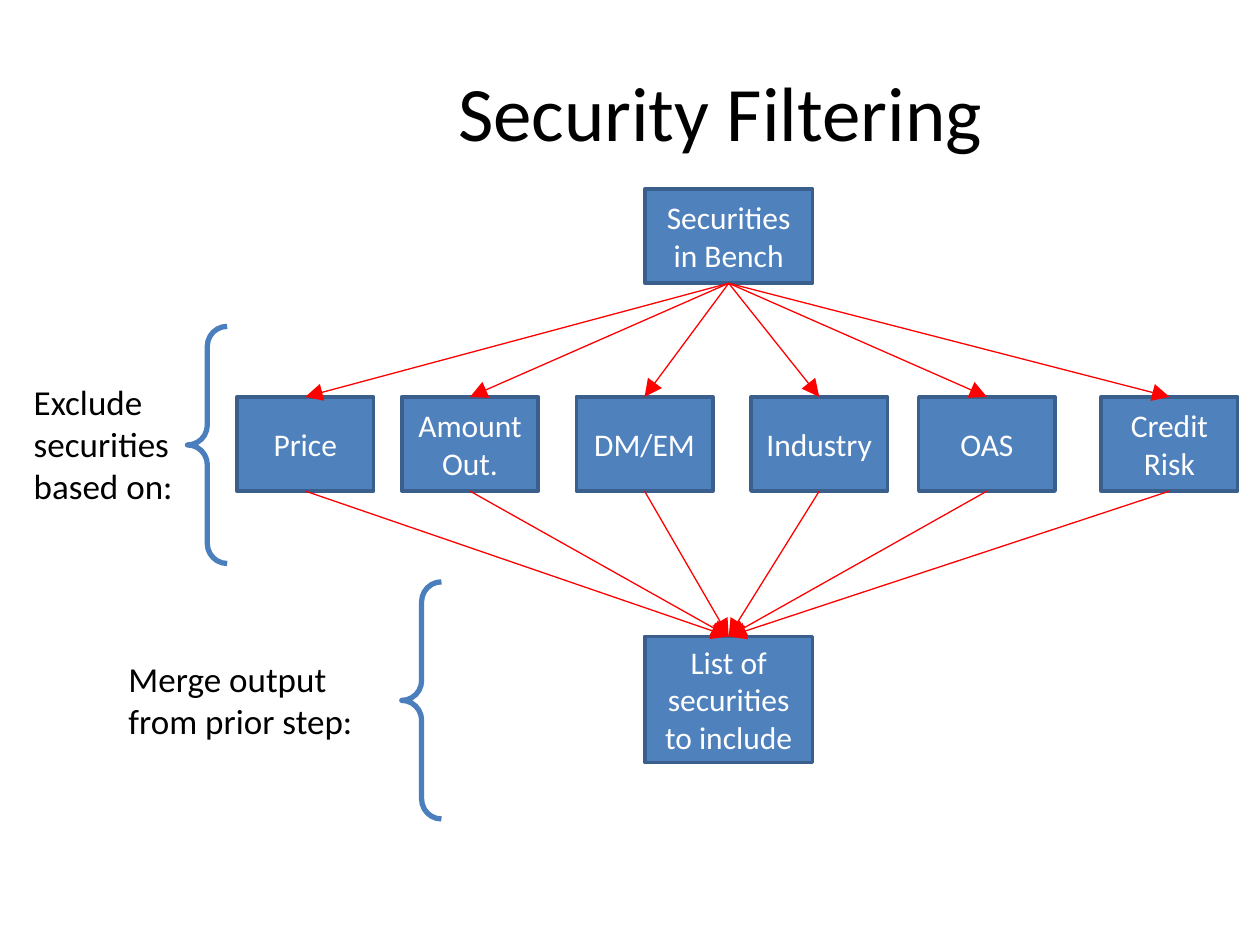
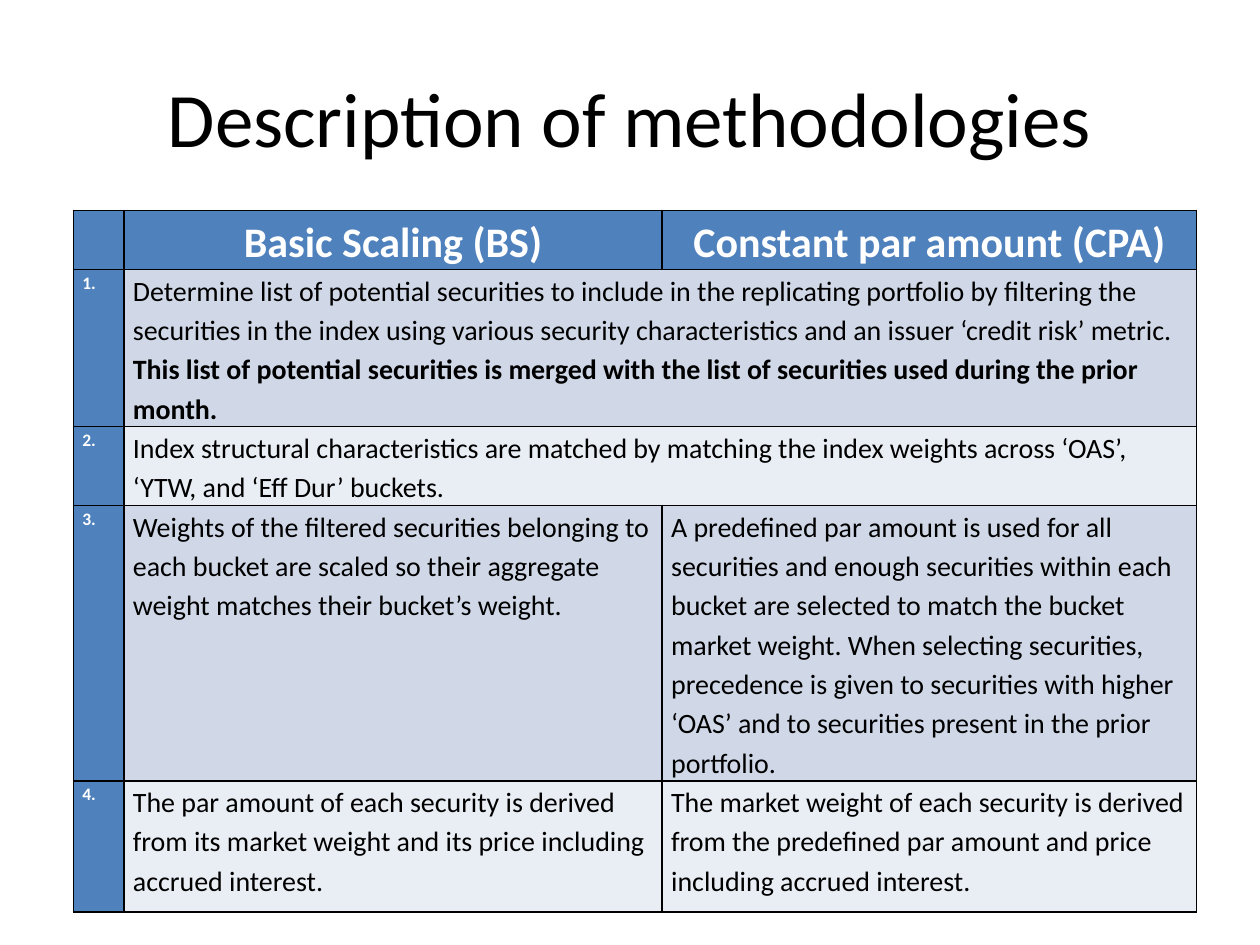
from dataclasses import dataclass

import pptx
import pptx.dml.color
import pptx.enum.shapes
import pptx.enum.text
import pptx.oxml
import pptx.oxml.ns
import pptx.util

Cm = pptx.util.Cm
Pt = pptx.util.Pt
SHAPE = pptx.enum.shapes.MSO_SHAPE
ALIGN = pptx.enum.text.PP_ALIGN
ANCHOR = pptx.enum.text.MSO_ANCHOR
BOTTOM_SITE, TOP_SITE = 2, 0


@dataclass(frozen=True)
class Theme:
    font: str = "Calibri"
    black: str = "000000"
    white: str = "FFFFFF"
    blue: str = "4F81BD"
    box_edge: str = "3A5F8C"
    brace: str = "4B7EBC"
    arrow: str = "FF0000"
    bands: tuple = ("D0D8E8", "E9EDF4")
    title_size: float = 44
    header_size: float = 24
    label_size: float = 20
    box_size: float = 18
    body_size: float = 16
    number_size: float = 10


THEME = Theme()

FILTERS = [
    ("Price", 4.78),
    ("Amount Out.", 8.1),
    ("DM/EM", 11.62),
    ("Industry", 15.14),
    ("OAS", 18.52),
    ("Credit Risk", 22.2),
]

HEADERS = ["Basic Scaling (BS)", "Constant par amount (CPA)"]
STEPS = [
    [[("Determine list of potential securities to include in the replicating "
       "portfolio by filtering the securities in the index using various "
       "security characteristics and an issuer ‘credit risk’ metric. ", False),
      ("This list of potential securities is merged with the list of "
       "securities used during the prior month.", True)]],
    [[("Index structural characteristics are matched by matching the index "
       "weights across ‘OAS’, ‘YTW, and ‘Eff Dur’ buckets.", False)]],
    [[("Weights of the filtered securities belonging to each bucket are scaled "
       "so their aggregate weight matches their bucket’s weight.", False)],
     [("A predefined par amount is used for all securities and enough "
       "securities within each bucket are selected to match the bucket market "
       "weight. When selecting securities, precedence is given to securities "
       "with higher ‘OAS’ and to securities present in the prior portfolio.",
       False)]],
    [[("The par amount of each security is derived from its market weight and "
       "its price including accrued interest.", False)],
     [("The market weight of each security is derived from the predefined par "
       "amount and price including accrued interest.", False)]],
]
COLUMN_WIDTHS = [1.02, 10.85, 10.77]
ROW_HEIGHTS = [0.84, 2.64, 1.3, 4.65, 2.64]


def rgb(value):
    return pptx.dml.color.RGBColor.from_string(value)


def write(tf, text, size, color=THEME.black, bold=False, align=ALIGN.LEFT,
          anchor=ANCHOR.TOP, spacing=None, after=None):
    runs = [(text, bold)] if isinstance(text, str) else text
    tf.word_wrap = True
    tf.vertical_anchor = anchor
    p = tf.paragraphs[0]
    p.alignment = align
    p.line_spacing = spacing
    p.space_after = None if after is None else Pt(after)
    for run_text, run_bold in runs:
        r = p.add_run()
        r.text = run_text
        r.font.name = THEME.font
        r.font.size = Pt(size)
        r.font.bold = run_bold
        r.font.color.rgb = rgb(color)


def add_titled_slide(prs, text, left, top, width):
    slide = prs.slides.add_slide(prs.slide_layouts[5])
    sp = slide.shapes.title
    sp.left, sp.top, sp.width, sp.height = Cm(left), Cm(top), Cm(width), Cm(3.18)
    write(sp.text_frame, text, THEME.title_size, align=ALIGN.CENTER,
          anchor=ANCHOR.MIDDLE)
    return slide


def add_box(slide, text, left, top, width, height):
    sp = slide.shapes.add_shape(SHAPE.RECTANGLE, Cm(left), Cm(top),
                                Cm(width), Cm(height))
    sp.shadow.inherit = False
    sp.fill.solid()
    sp.fill.fore_color.rgb = rgb(THEME.blue)
    sp.line.color.rgb = rgb(THEME.box_edge)
    sp.line.width = Pt(2)
    write(sp.text_frame, text, THEME.box_size, THEME.white,
          align=ALIGN.CENTER, anchor=ANCHOR.MIDDLE)
    return sp


def add_arrow(slide, source, target):
    line = slide.shapes.add_connector(
        pptx.enum.shapes.MSO_CONNECTOR.STRAIGHT,
        source.left + source.width // 2, source.top + source.height,
        target.left + target.width // 2, target.top)
    line.begin_connect(source, BOTTOM_SITE)
    line.end_connect(target, TOP_SITE)
    line.line.color.rgb = rgb(THEME.arrow)
    line.line.width = Pt(0.75)
    ns = pptx.oxml.ns.nsdecls("a")
    line.line._get_or_add_ln().append(pptx.oxml.parse_xml(
        f'<a:tailEnd {ns} type="triangle" w="lg" len="lg"/>'))
    line._element.spPr.append(pptx.oxml.parse_xml(f"<a:effectLst {ns}/>"))


def add_brace(slide, left, top):
    sp = slide.shapes.add_shape(SHAPE.LEFT_BRACE, Cm(left), Cm(top),
                                Cm(0.8), Cm(4.78))
    sp.adjustments[0] = 0.5
    sp.shadow.inherit = False
    sp.fill.background()
    sp.line.color.rgb = rgb(THEME.brace)
    sp.line.width = Pt(3)


def add_label(slide, text, left, top, width, height):
    sp = slide.shapes.add_textbox(Cm(left), Cm(top), Cm(width), Cm(height))
    write(sp.text_frame, text, THEME.label_size)


def style_cell(cell, fill):
    tcPr = cell._tc.get_or_add_tcPr()
    for side in ("lnL", "lnR", "lnT", "lnB"):
        tcPr.append(pptx.oxml.parse_xml(
            f'<a:{side} {pptx.oxml.ns.nsdecls("a")} w="{Pt(1)}"><a:solidFill>'
            f'<a:srgbClr val="{THEME.black}"/></a:solidFill></a:{side}>'))
    cell.fill.solid()
    cell.fill.fore_color.rgb = rgb(fill)
    cell.margin_left = cell.margin_right = Cm(0.18)
    cell.margin_top = cell.margin_bottom = 0


def write_cell(cell, text, size, **style):
    write(cell.text_frame, text, size, spacing=1.15, after=10, **style)


def add_steps_table(slide):
    table = slide.shapes.add_table(
        len(ROW_HEIGHTS), len(COLUMN_WIDTHS), Cm(1.48), Cm(4.24),
        Cm(sum(COLUMN_WIDTHS)), Cm(sum(ROW_HEIGHTS))).table
    for column, width in zip(table.columns, COLUMN_WIDTHS):
        column.width = Cm(width)
    for i, (row, height) in enumerate(zip(table.rows, ROW_HEIGHTS)):
        row.height = Cm(height)
        for j, cell in enumerate(row.cells):
            is_head = i == 0 or j == 0
            style_cell(cell, THEME.blue if is_head else THEME.bands[(i - 1) % 2])
    for j, text in enumerate(HEADERS, 1):
        write_cell(table.cell(0, j), text, THEME.header_size, color=THEME.white,
                   bold=True, align=ALIGN.CENTER)
    for i, texts in enumerate(STEPS, 1):
        write_cell(table.cell(i, 0), f"{i}.", THEME.number_size,
                   color=THEME.white, bold=True)
        if len(texts) == 1:
            table.cell(i, 1).merge(table.cell(i, 2))
        for j, runs in enumerate(texts, 1):
            write_cell(table.cell(i, j), runs, THEME.body_size)


def build_filtering(prs):
    slide = add_titled_slide(prs, "Security Filtering", 5.28, 0.64, 18.49)
    bench = add_box(slide, "Securities in Bench", 13, 3.81, 3.38, 1.9)
    included = add_box(slide, "List of securities to include",
                       13, 12.83, 3.38, 2.54)
    for text, left in FILTERS:
        box = add_box(slide, text, left, 8, 2.75, 1.9)
        add_arrow(slide, bench, box)
        add_arrow(slide, box, included)
    add_brace(slide, 3.78, 6.58)
    add_label(slide, "Exclude securities based on:", 0.43, 7.54, 3.35, 2.82)
    add_brace(slide, 8.1, 11.73)
    add_label(slide, "Merge output from prior step:", 2.34, 13.13, 5.18, 1.96)


def build_methodologies(prs):
    slide = add_titled_slide(prs, "Description of methodologies",
                             1.27, 0.76, 22.86)
    add_steps_table(slide)


def main():
    prs = pptx.Presentation()
    prs.slide_width, prs.slide_height = Cm(25.4), Cm(19.05)
    build_filtering(prs)
    build_methodologies(prs)
    prs.save("out.pptx")


main()
